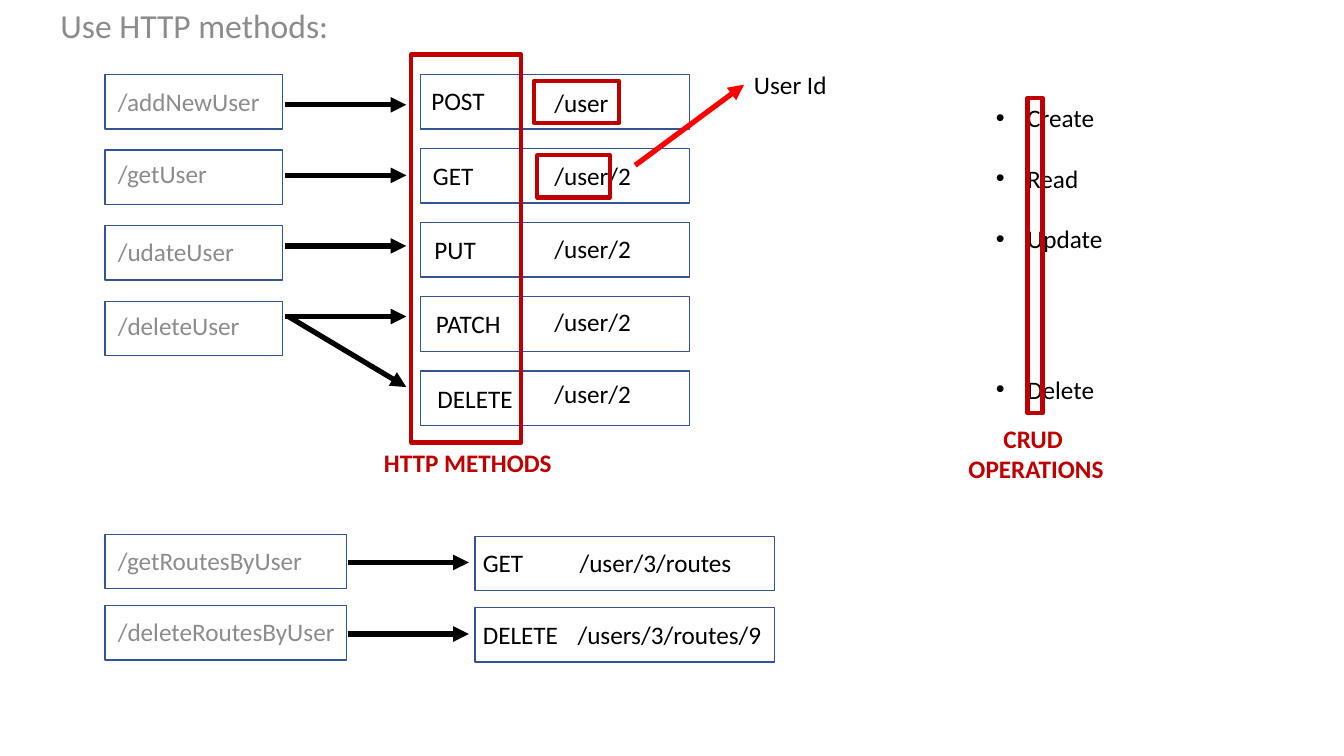
from lxml import etree
from pptx import Presentation
from pptx.dml.color import RGBColor
from pptx.enum.shapes import MSO_CONNECTOR, MSO_SHAPE
from pptx.enum.text import PP_ALIGN
from pptx.oxml.ns import qn
from pptx.util import Inches, Pt

RECT = MSO_SHAPE.RECTANGLE
STRAIGHT = MSO_CONNECTOR.STRAIGHT
LEFT, CENTER = PP_ALIGN.LEFT, PP_ALIGN.CENTER

BLUE = RGBColor(0x32, 0x54, 0x91)
GRAY = RGBColor(0x8C, 0x8C, 0x8C)
BLACK = RGBColor(0x00, 0x00, 0x00)
DARK_RED = RGBColor(0xC0, 0x00, 0x00)
RED = RGBColor(0xFF, 0x00, 0x00)


class SlideBuilder:
    font = {"name": "Calibri", "size": Pt(18), "bold": False}

    def __init__(self, slide):
        self.shapes = slide.shapes

    def box(self, x, y, w, h, color=BLUE, weight=1):
        sp = self.shapes.add_shape(RECT, Inches(x), Inches(y), Inches(w), Inches(h))
        sp.shadow.inherit = False
        sp.fill.background()
        sp.line.color.rgb = color
        sp.line.width = Pt(weight)

    def text(self, x, y, w, h, lines, color=BLACK, wrap=False, align=LEFT, spacing=1.0, **style):
        sp = self.shapes.add_textbox(Inches(x), Inches(y), Inches(w), Inches(h))
        tf = sp.text_frame
        tf.word_wrap = wrap
        for i, line in enumerate(lines):
            p = tf.add_paragraph() if i else tf.paragraphs[0]
            p.alignment = align
            p.line_spacing = spacing
            r = p.add_run()
            r.text = line
            r.font.color.rgb = color
            for key, value in {**self.font, **style}.items():
                setattr(r.font, key, value)
        return tf

    def route(self, x, y, w, line):
        self.text(x, y, w, 0.37, [line], GRAY, wrap=True, spacing=0.9)

    def bullets(self, x, y, w, h, items):
        tf = self.text(x, y, w, h, [name for name, gap in items], wrap=True)
        for p, (name, gap) in zip(tf.paragraphs, items):
            p.space_before = Pt(gap)
            pPr = p._p.get_or_add_pPr()
            pPr.set("marL", str(Inches(0.31)))
            pPr.set("indent", str(-Inches(0.31)))
            etree.SubElement(pPr, qn("a:buFont")).set("typeface", "Arial")
            etree.SubElement(pPr, qn("a:buChar")).set("char", "•")

    def arrow(self, x1, y1, x2, y2, color=BLACK):
        sp = self.shapes.add_connector(STRAIGHT, Inches(x1), Inches(y1), Inches(x2), Inches(y2))
        sp.line.color.rgb = color
        sp.line.width = Pt(3.75)
        etree.SubElement(sp.line._get_or_add_ln(), qn("a:tailEnd")).set("type", "triangle")
        etree.SubElement(sp._element.spPr, qn("a:effectLst"))


def main():
    prs = Presentation()
    prs.slide_width, prs.slide_height = Inches(13.33), Inches(7.5)
    s = SlideBuilder(prs.slides.add_slide(prs.slide_layouts[6]))

    s.text(0.5, 0.04, 11.91, 0.5, ["Use HTTP methods:"], GRAY, wrap=True, spacing=0.9, size=Pt(24))

    old_routes = [("/addNewUser", 0.84), ("/getUser", 1.56),
                  ("/udateUser", 2.33), ("/deleteUser", 3.06)]
    for i, (name, y) in enumerate(old_routes):
        s.box(1.04, 0.74 + 0.75 * i, 1.76, 0.54)
        s.route(1.07, y, 1.76, name)
        s.arrow(2.83, 1.04 + 0.7 * i, 4.03, 1.04 + 0.7 * i)
    s.arrow(2.86, 3.14, 4.03, 3.84)

    methods = [("POST", 0.73, "/user", 0.75), ("GET", 0.61, "/user/2", 0.97),
               ("PUT", 0.62, "/user/2", 0.97), ("PATCH", 0.85, "/user/2", 0.97),
               ("DELETE", 0.96, "/user/2", 0.97)]
    for i, (method, method_w, resource, resource_w) in enumerate(methods):
        s.box(4.17, 0.74 + 0.735 * i, 2.67, 0.54)
        s.text(4.18 + 0.015 * i, 0.8 + 0.738 * i, method_w, 0.4, [method])
        s.text(5.4, 0.82 + 0.722 * i, resource_w, 0.4, [resource])

    nested_routes = [
        ("/getRoutesByUser", 5.3, "GET", 0.61, "/user/3/routes", 5.65, 1.73),
        ("/deleteRoutesByUser", 6.01, "DELETE", 0.96, "/users/3/routes/9", 5.63, 2.1),
    ]
    for name, y, method, method_w, resource, resource_x, resource_w in nested_routes:
        s.box(1.04, y, 2.4, 0.54)
        s.route(1.07, y + 0.09, 2.4, name)
        s.box(4.71, y + 0.02, 2.97, 0.54)
        s.arrow(3.45, y + 0.28, 4.65, y + 0.28)
        s.text(4.69, y + 0.08, method_w, 0.4, [method])
        s.text(resource_x, y + 0.08, resource_w, 0.4, [resource])

    s.bullets(9.78, 0.97, 1.4, 3.13,
              [("Create", 0), ("Read", 21.5), ("Update", 21.5), ("Delete", 86)])

    highlights = [(4.08, 0.54, 1.09, 3.85), (5.3, 0.8, 0.84, 0.42),
                  (5.33, 1.54, 0.72, 0.42), (10.19, 0.97, 0.15, 3.13)]
    for frame in highlights:
        s.box(*frame, color=DARK_RED, weight=3)

    s.arrow(6.3, 1.64, 7.38, 0.84, RED)
    s.text(7.38, 0.64, 0.93, 0.4, ["User Id"])
    s.text(3.71, 4.39, 1.88, 0.4, ["HTTP METHODS"], DARK_RED, bold=True)
    s.text(9.5, 4.15, 1.55, 0.71, ["CRUD ", "OPERATIONS"], DARK_RED, align=CENTER, bold=True)

    prs.save("out.pptx")


if __name__ == "__main__":
    main()
